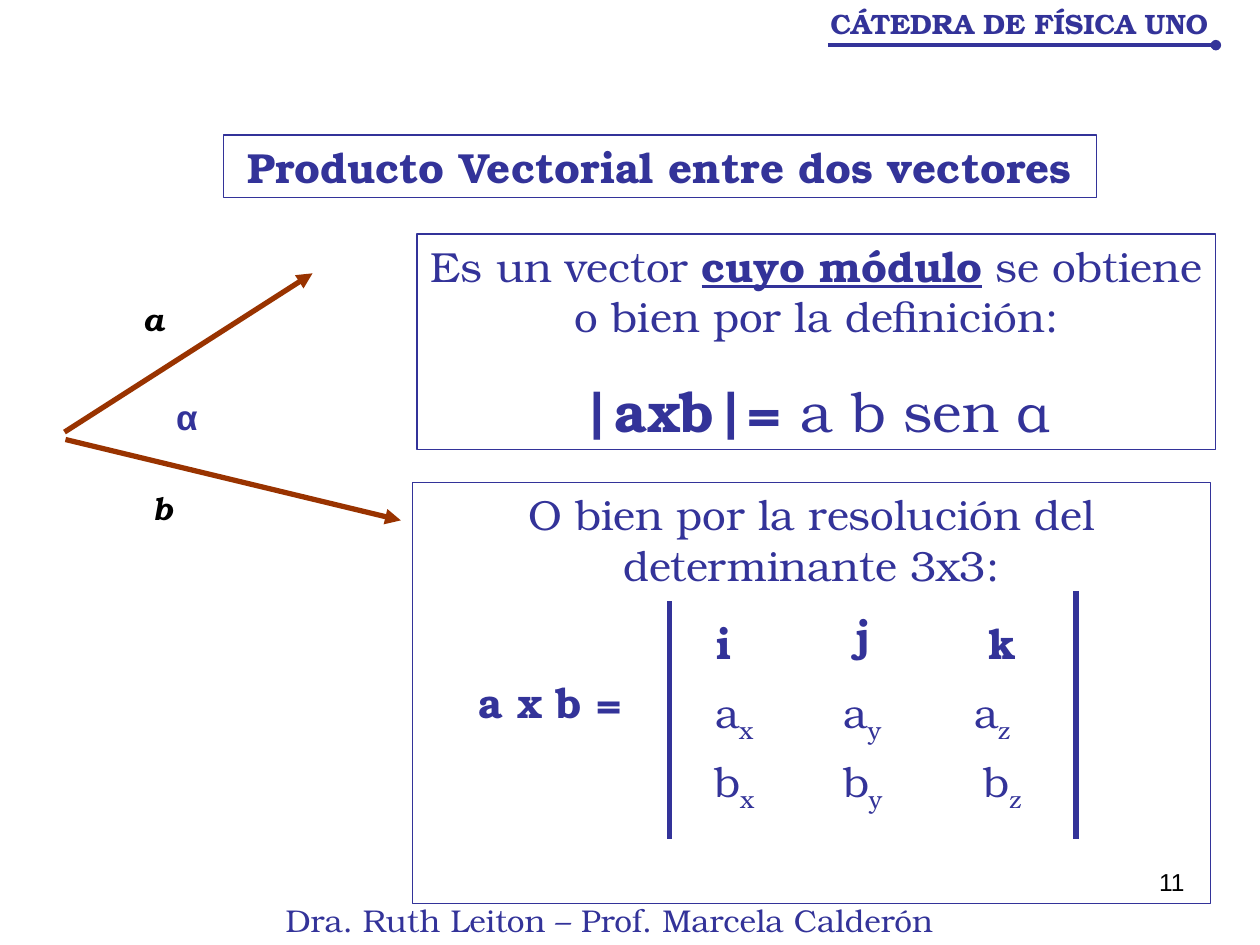
from dataclasses import dataclass

from lxml import etree
from pptx import Presentation
from pptx.dml.color import RGBColor
from pptx.enum.shapes import MSO_CONNECTOR, MSO_SHAPE
from pptx.enum.text import MSO_ANCHOR, PP_ALIGN
from pptx.oxml.ns import qn
from pptx.util import Cm, Pt

STRAIGHT = MSO_CONNECTOR.STRAIGHT
RECTANGLE = MSO_SHAPE.RECTANGLE
TOP = MSO_ANCHOR.TOP
LEFT, CENTER, RIGHT = PP_ALIGN.LEFT, PP_ALIGN.CENTER, PP_ALIGN.RIGHT


@dataclass(frozen=True)
class Theme:
    blue: RGBColor = RGBColor(0x33, 0x33, 0x99)
    brown: RGBColor = RGBColor(0x99, 0x33, 0x00)
    black: RGBColor = RGBColor(0, 0, 0)
    serif: str = "TeX Gyre Bonum"
    sans: str = "Arial"
    page_size: int = 14
    header_size: int = 16
    small_size: int = 18
    angle_size: int = 20
    body_size: int = 24
    formula_size: int = 32
    border_width: float = 0.75
    rule_width: float = 2
    heavy_width: float = 3


class SlideBuilder:
    def __init__(self, slide, theme):
        self.slide = slide
        self.theme = theme

    def set_text(self, shape, paragraphs, size, align=CENTER, color=None, font=None, gap=0):
        """Fill a shape with paragraphs, each a list of (text, style) runs."""
        frame = shape.text_frame
        frame.word_wrap = True
        frame.vertical_anchor = TOP
        for index, runs in enumerate(paragraphs):
            paragraph = frame.add_paragraph() if index else frame.paragraphs[0]
            paragraph.alignment = align
            if index:
                paragraph.space_before = Pt(gap)
            for text, style in runs:
                run = paragraph.add_run()
                run.text = text
                run.font.name = font or self.theme.serif
                run.font.size = Pt(style.get("size", size))
                run.font.color.rgb = color or self.theme.blue
                run.font.bold = style.get("bold", False)
                run.font.italic = style.get("italic", False)
                run.font.underline = style.get("underline", False)
                if style.get("subscript"):
                    run.font._element.set("baseline", "-25000")

    def text(self, left, top, width, height, runs, size, **options):
        box = self.slide.shapes.add_textbox(Cm(left), Cm(top), Cm(width), Cm(height))
        self.set_text(box, [runs], size, **options)
        return box

    def framed_text(self, left, top, width, height, paragraphs, **options):
        shape = self.slide.shapes.add_shape(
            RECTANGLE, Cm(left), Cm(top), Cm(width), Cm(height))
        shape.shadow.inherit = False
        shape.fill.background()
        shape.line.color.rgb = self.theme.blue
        shape.line.width = Pt(self.theme.border_width)
        self.set_text(shape, paragraphs, self.theme.body_size, **options)

    def line(self, start, end, color, width, tail=None):
        connector = self.slide.shapes.add_connector(
            STRAIGHT, Cm(start[0]), Cm(start[1]), Cm(end[0]), Cm(end[1]))
        connector.line.color.rgb = color
        connector.line.width = Pt(width)
        properties = connector._element.spPr
        if tail:
            etree.SubElement(properties.get_or_add_ln(), qn("a:tailEnd"), type=tail)
        etree.SubElement(properties, qn("a:effectLst"))


BOLD = {"bold": True}
BOLD_ITALIC = {"bold": True, "italic": True}
SUBSCRIPT = {"subscript": True}


def add_header_and_footer(builder):
    theme = builder.theme
    builder.text(18.21, 17.35, 5.92, 1.32, [("11", {})], theme.page_size,
                 align=RIGHT, color=theme.black, font=theme.sans)
    builder.text(15.7, 0, 9.7, 0.94, [("CÁTEDRA DE FÍSICA UNO", BOLD)], theme.header_size)
    builder.line((16.69, 0.91), (24.51, 0.91), theme.blue, theme.rule_width, "oval")
    builder.text(3.89, 18.03, 16.99, 1.02,
                 [("Dra. Ruth Leiton – Prof. Marcela Calderón ", {})], theme.small_size)


def add_vectors(builder):
    theme = builder.theme
    vectors = [
        ("a", (1.3, 8.71), (6.3, 5.51), (2.49, 5.92)),
        ("b", (1.32, 8.86), (8.08, 10.49), (2.69, 9.73)),
    ]
    for name, start, end, label in vectors:
        builder.line(start, end, theme.brown, theme.heavy_width, "triangle")
        builder.text(*label, 1.19, 1.02, [(name, BOLD_ITALIC)], theme.small_size,
                     color=theme.black)
    angle = builder.text(3.3, 7.85, 0.94, 1.12, [("α", BOLD)], theme.angle_size,
                         align=LEFT, font=theme.sans)
    angle.text_frame.word_wrap = False


def add_definition(builder):
    formula_size = builder.theme.formula_size
    builder.framed_text(8.41, 4.72, 16.1, 4.34, [
        [("Es un vector ", {}),
         ("cuyo módulo", {"bold": True, "underline": True}),
         (" se obtiene o bien por la definición:", {})],
        [("|axb|= ", {"bold": True, "size": formula_size}),
         ("a b sen α", {"size": formula_size})],
    ], gap=20)


def add_determinant(builder):
    theme = builder.theme
    builder.framed_text(8.31, 9.73, 16.1, 8.48,
                        [[("O bien por la resolución del determinante 3x3:", {})]])
    for x, top in ((13.49, 12.12), (21.69, 11.91)):
        builder.line((x, top), (x, 16.92), theme.blue, theme.heavy_width)

    unit_vectors = (("i", 13.89, 12.32), ("j", 16.69, 12.17), ("k", 19.51, 12.32))
    for name, left, top in unit_vectors:
        builder.text(left, top, 1.4, 1.27, [(name, BOLD)], theme.body_size)

    component_rows = (("a", 13.72, (14.1, 16.69, 19.3)),
                      ("b", 15.11, (14.1, 16.69, 19.51)))
    for vector, top, columns in component_rows:
        for axis, left in zip("xyz", columns):
            builder.text(left, top, 1.4, 1.42, [(vector, {}), (axis, SUBSCRIPT)],
                         theme.body_size)
    builder.text(9.3, 13.51, 3.58, 1.27, [("a x b =", BOLD)], theme.body_size)


def main():
    presentation = Presentation()
    presentation.slide_width = Cm(25.4)
    presentation.slide_height = Cm(19.05)
    slide = presentation.slides.add_slide(presentation.slide_layouts[6])
    builder = SlideBuilder(slide, Theme())

    add_header_and_footer(builder)
    builder.framed_text(4.5, 2.72, 17.6, 1.27,
                        [[("Producto Vectorial entre dos vectores", BOLD)]])
    add_vectors(builder)
    add_definition(builder)
    add_determinant(builder)
    presentation.save("out.pptx")


if __name__ == "__main__":
    main()
